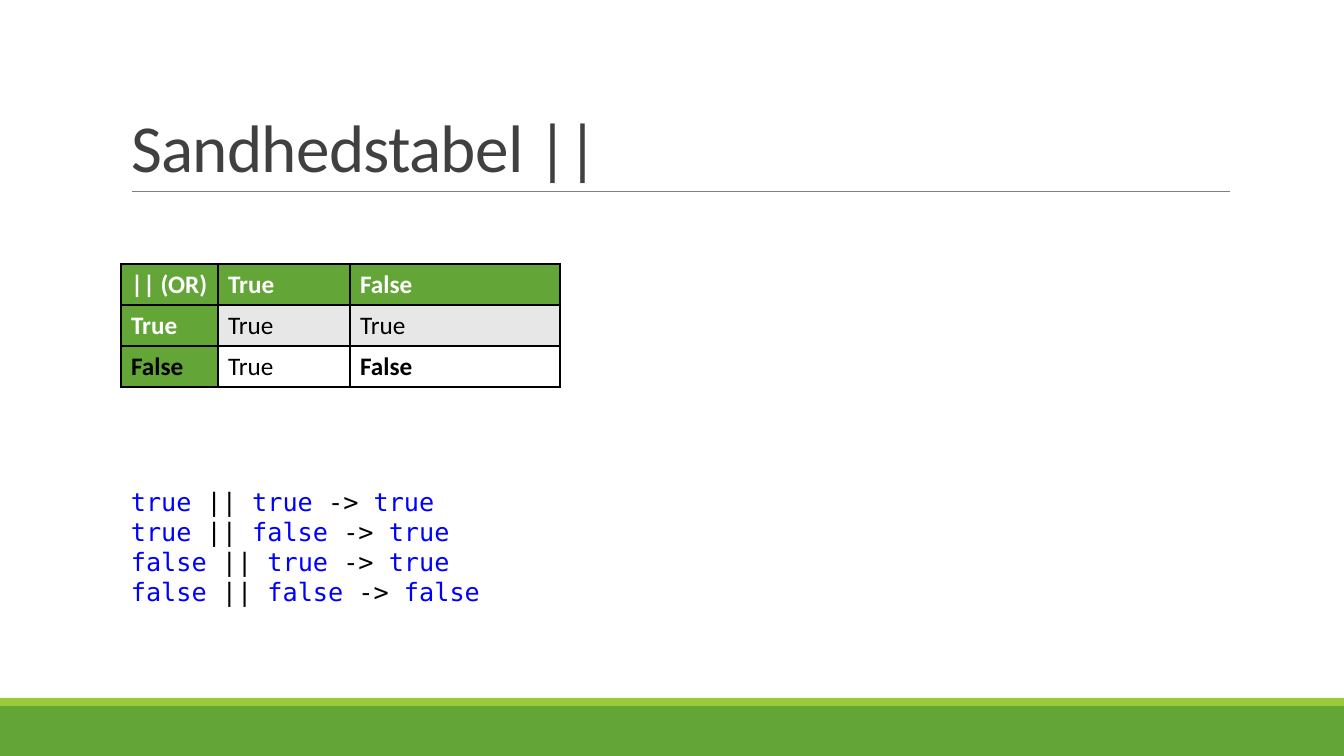
from dataclasses import dataclass

from lxml.etree import SubElement
from pptx import Presentation
from pptx.dml.color import RGBColor
from pptx.enum.shapes import MSO_CONNECTOR, MSO_SHAPE
from pptx.enum.text import MSO_ANCHOR as Anchor, MSO_AUTO_SIZE as AutoSize, PP_ALIGN as Align
from pptx.oxml.ns import qn
from pptx.slide import Slide
from pptx.util import Emu, Pt

EMU_PER_PX = 914400 / 100.8
GREEN, LIME, GREY = "63A537", "99CB38", "808080"
BLACK, WHITE, BAND, BLUE = "000000", "FFFFFF", "E7E7E7", "0000FF"
TITLE_COLOUR = "404040"
BODY_FONT, CODE_FONT = "Calibri", "DejaVu Sans Mono"


@dataclass(frozen=True)
class Bar:
    top: int
    height: int
    colour: str


@dataclass(frozen=True)
class CellLook:
    text: str
    fill: str
    colour: str = BLACK
    bold: bool = False


BARS = [Bar(706, 50, GREEN), Bar(698, 8, LIME)]
COLUMN_WIDTHS = [97, 132, 210]
ROW_HEIGHT = 41
TRUTH_TABLE = [
    [CellLook(text, GREEN, WHITE, True) for text in ("|| (OR)", "True", "False")],
    [CellLook("True", GREEN, WHITE, True), CellLook("True", BAND), CellLook("True", BAND)],
    [CellLook("False", GREEN, BLACK, True), CellLook("True", WHITE),
     CellLook("False", WHITE, BLACK, True)],
]


def px(length: int) -> Emu:
    return Emu(round(length * EMU_PER_PX))


def rgb(colour: str) -> RGBColor:
    return RGBColor.from_string(colour)


def style(span, font: str, size: int, colour: str, bold: bool = False) -> None:
    span.font.name = font
    span.font.size = Pt(size)
    span.font.bold = bold
    span.font.color.rgb = rgb(colour)


def draw_bar(page: Slide, bar: Bar) -> None:
    box = page.shapes.add_shape(MSO_SHAPE.RECTANGLE, 0, px(bar.top), px(1344), px(bar.height))
    box.shadow.inherit = False
    box.fill.solid()
    box.fill.fore_color.rgb = rgb(bar.colour)
    box.line.fill.background()


def draw_rule(page: Slide) -> None:
    rule = page.shapes.add_connector(MSO_CONNECTOR.STRAIGHT, px(132), px(191), px(1230), px(191))
    rule.line.color.rgb = rgb(GREY)
    rule.line.width = Pt(0.5)
    SubElement(rule.element.spPr, qn("a:effectLst"))


def fill_title(page: Slide, text: str) -> None:
    title = page.shapes.title
    title.left, title.top, title.width, title.height = px(121), px(31), px(1109), px(160)
    frame = title.text_frame
    frame.text = text
    frame.auto_size = AutoSize.NONE
    frame.vertical_anchor = Anchor.BOTTOM
    para = frame.paragraphs[0]
    para.alignment = Align.LEFT
    para.line_spacing = 0.85
    span = para.runs[0]
    style(span, BODY_FONT, 48, TITLE_COLOUR)
    span.font._element.set("spc", "-50")


def add_borders(cell) -> None:
    properties = cell._tc.get_or_add_tcPr()
    for side in ("lnL", "lnR", "lnT", "lnB"):
        line = SubElement(properties, qn(f"a:{side}"), w=str(Pt(1)))
        SubElement(SubElement(line, qn("a:solidFill")), qn("a:srgbClr"), val=BLACK)


def draw_truth_table(page: Slide) -> None:
    rows, columns = len(TRUTH_TABLE), len(COLUMN_WIDTHS)
    table = page.shapes.add_table(rows, columns, px(121), px(264),
                                  px(sum(COLUMN_WIDTHS)), px(rows * ROW_HEIGHT)).table
    table.horz_banding = False
    for column, width in zip(table.columns, COLUMN_WIDTHS):
        column.width = px(width)
    for row, looks in zip(table.rows, TRUTH_TABLE):
        row.height = px(ROW_HEIGHT)
        for cell, look in zip(row.cells, looks):
            add_borders(cell)
            cell.fill.solid()
            cell.fill.fore_color.rgb = rgb(look.fill)
            cell.text_frame.text = look.text
            style(cell.text_frame.paragraphs[0].runs[0], BODY_FONT, 18, look.colour, look.bold)


def draw_code(page: Slide) -> None:
    frame = page.shapes.add_textbox(px(121), px(481), px(374), px(132)).text_frame
    frame.word_wrap = True
    frame.auto_size = AutoSize.SHAPE_TO_FIT_TEXT
    operands = [(left, right) for left in (True, False) for right in (True, False)]
    for index, (left, right) in enumerate(operands):
        para = frame.add_paragraph() if index else frame.paragraphs[0]
        left_word, right_word, result = (str(value).lower() for value in (left, right, left or right))
        for text in (left_word, " || ", right_word, " -> ", result):
            span = para.add_run()
            span.text = text
            style(span, CODE_FONT, 18, BLUE if text.isalpha() else BLACK)


def main() -> None:
    deck = Presentation()
    deck.slide_width, deck.slide_height = px(1344), px(756)
    page = deck.slides.add_slide(deck.slide_layouts[5])  # title only

    # Frame of the page
    for bar in BARS:
        draw_bar(page, bar)
    draw_rule(page)

    # Content
    fill_title(page, "Sandhedstabel ||")
    draw_truth_table(page)
    draw_code(page)
    deck.save("out.pptx")


if __name__ == "__main__":
    main()
